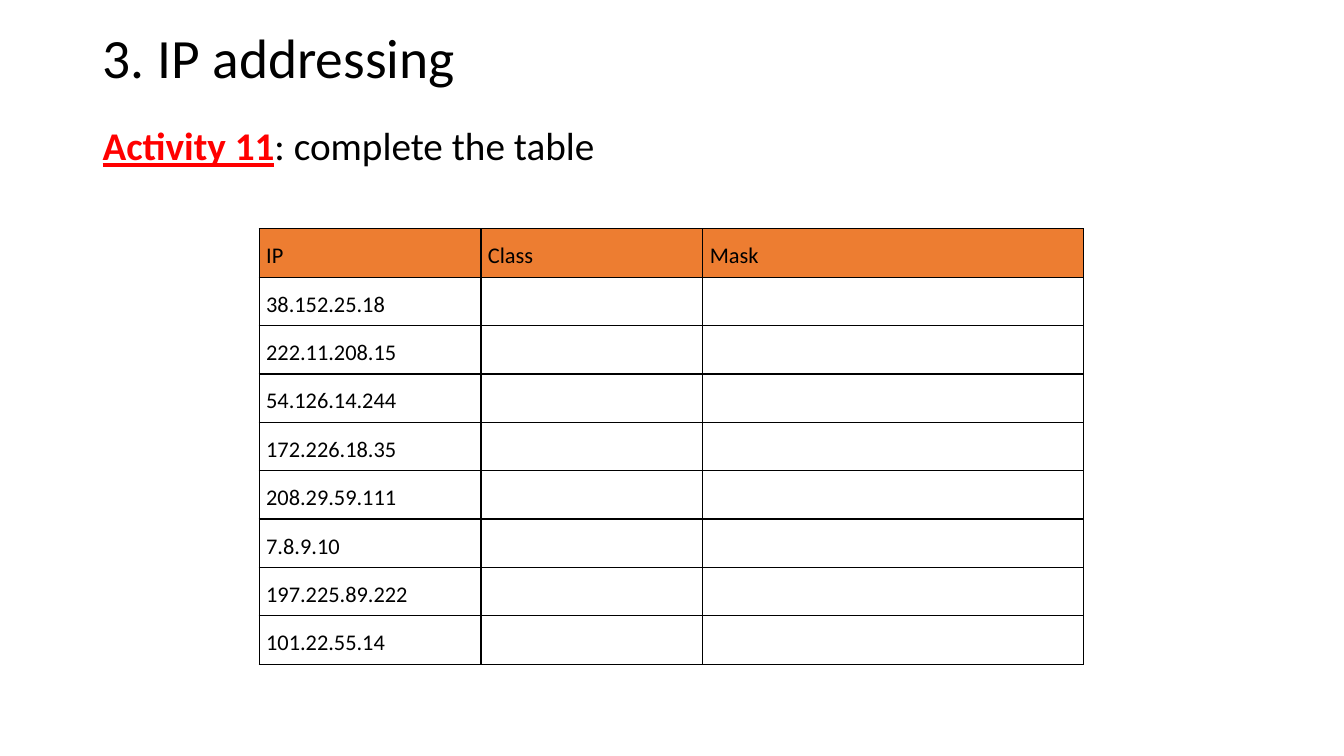
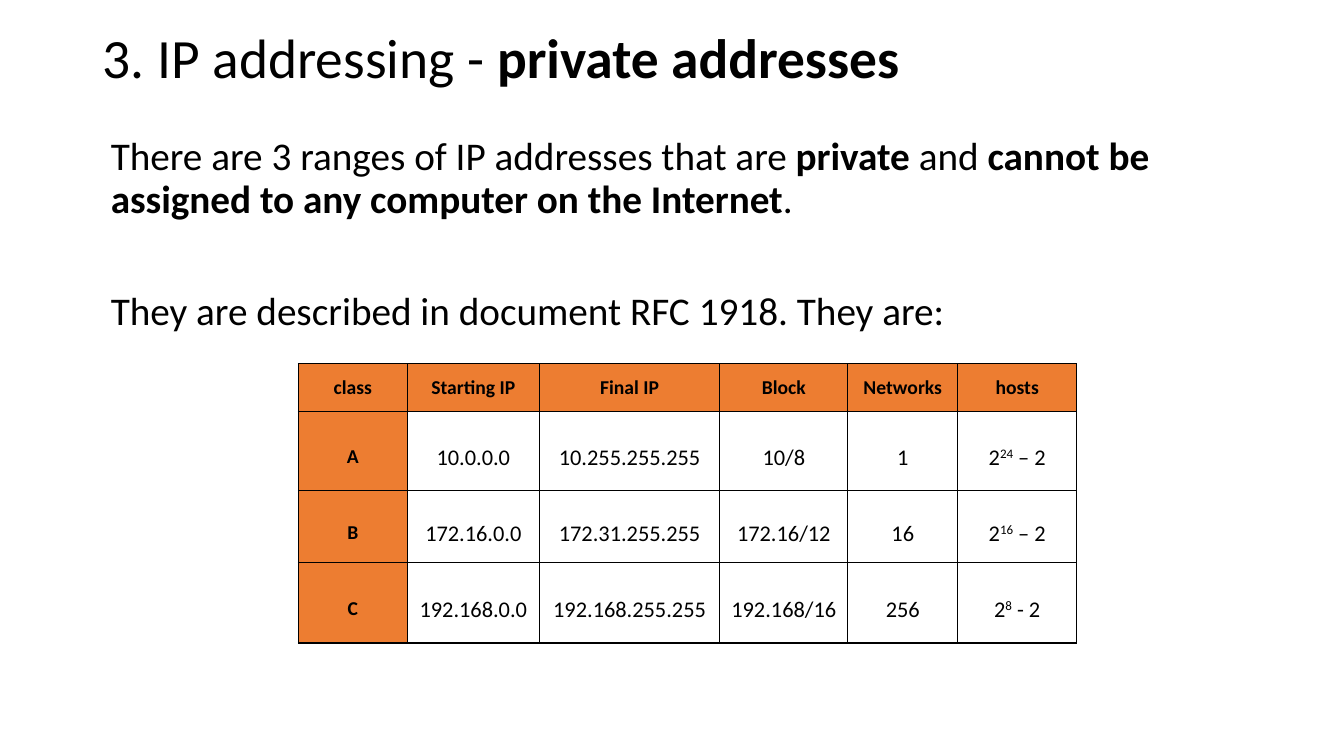
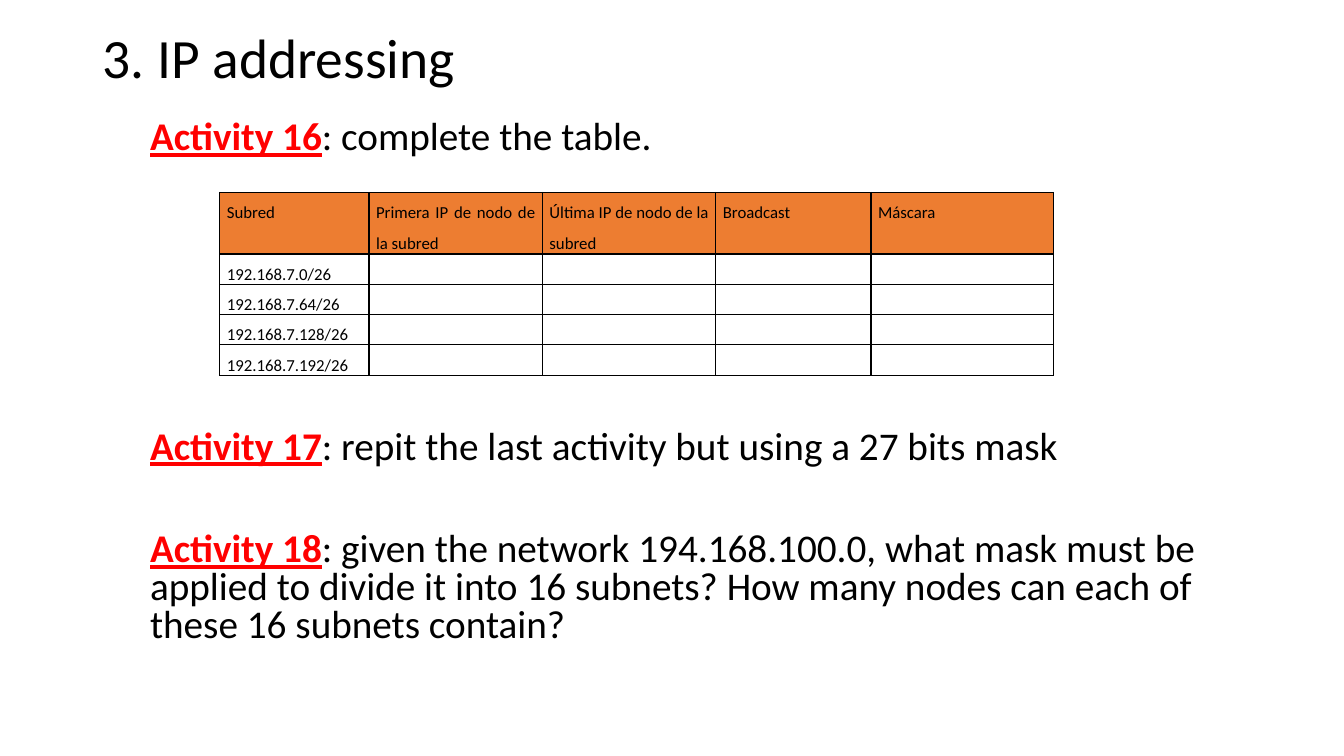
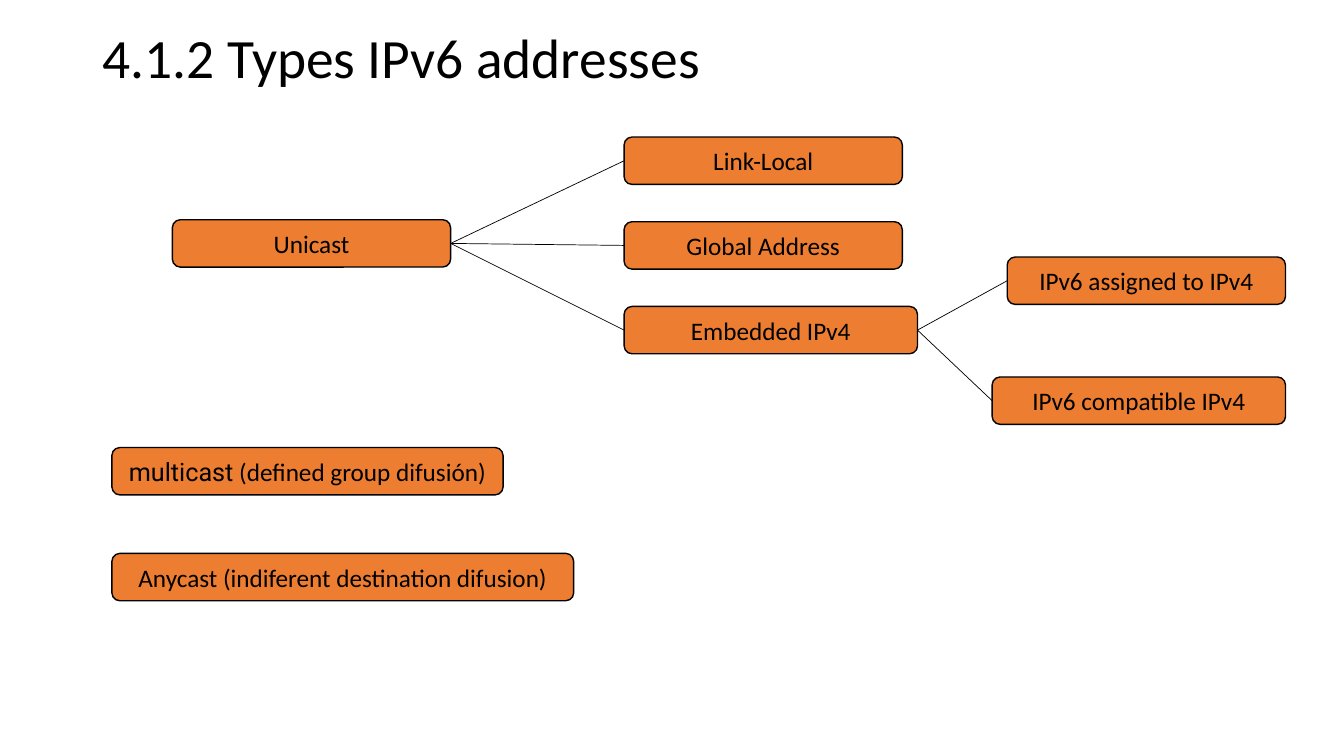
from lxml.etree import SubElement
from pptx import Presentation
from pptx.dml.color import RGBColor
from pptx.enum.shapes import MSO_CONNECTOR, MSO_SHAPE
from pptx.enum.text import MSO_ANCHOR, MSO_AUTO_SIZE, PP_ALIGN
from pptx.oxml import parse_xml
from pptx.oxml.ns import nsdecls, qn
from pptx.util import Inches, Pt

ORANGE, RED, BLACK = "ED7D31", "FF0000", "000000"
BOLD = {"bold": True}
ACTIVITY = {"bold": True, "underline": True, "color": RED}
SUPERSCRIPT = {"baseline": 30}
TITLE_LEFT, TITLE_TOP, TITLE_WIDTH, TITLE_HEIGHT = 0.92, 0.28, 11.5, 0.65


def write_text(paragraph, runs, align=PP_ALIGN.LEFT, line_spacing=1.0, space_before=0, **style):
    """Fill a paragraph with runs: plain strings, or (string, overrides) pairs."""
    paragraph.alignment = align
    paragraph.line_spacing = line_spacing
    paragraph.space_before = Pt(space_before)
    for item in [runs] if isinstance(runs, str) else runs:
        text, overrides = (item, {}) if isinstance(item, str) else item
        look = {**style, **overrides}
        run = paragraph.add_run()
        run.text = text
        run.font.size = Pt(look.get("size", 28))
        run.font.name = look.get("font", "Calibri")
        run.font.bold = look.get("bold", False)
        run.font.underline = look.get("underline", False)
        run.font.color.rgb = RGBColor.from_string(look.get("color", BLACK))
        if "baseline" in look:
            run._r.get_or_add_rPr().set("baseline", str(look["baseline"] * 1000))


def add_grid(slide, left, top, column_widths, row_heights, rows, cell_style):
    """Add a bordered table; cell_style(row, column) gives its fill, anchor and text format."""
    table = slide.shapes.add_table(
        len(row_heights), len(column_widths), Inches(left), Inches(top),
        Inches(sum(column_widths)), Inches(sum(row_heights))).table
    table.first_row = table.horz_banding = False
    for column, width in zip(table.columns, column_widths):
        column.width = Inches(width)
    for row_index, height in enumerate(row_heights):
        table.rows[row_index].height = Inches(height)
        for column_index in range(len(column_widths)):
            cell = table.cell(row_index, column_index)
            fill, anchor, text_format = cell_style(row_index, column_index)
            cell.margin_left = cell.margin_right = Inches(0.07)
            cell.margin_top = cell.margin_bottom = 0
            cell.vertical_anchor = anchor
            for position, edge in enumerate(("lnL", "lnR", "lnT", "lnB")):
                border = parse_xml(
                    f'<a:{edge} {nsdecls("a")} w="12700"><a:solidFill>'
                    f'<a:srgbClr val="{BLACK}"/></a:solidFill></a:{edge}>')
                cell._tc.get_or_add_tcPr().insert(position, border)
            if fill:
                cell.fill.solid()
                cell.fill.fore_color.rgb = RGBColor.from_string(fill)
            else:
                cell.fill.background()
            if column_index < len(rows[row_index]):
                write_text(cell.text_frame.paragraphs[0], rows[row_index][column_index],
                           line_spacing=1.5, **text_format)


presentation = Presentation()
presentation.slide_width = Inches(13.33)
presentation.slide_height = Inches(7.5)

# Titles and body text
slide_contents = [
    (["3. IP addressing"], (0.92, 1.21, 11.5, 5.36), 0.9, [
        (10, [("Activity 11", ACTIVITY), ": complete the table"]),
    ]),
    (["3. IP addressing - ", ("private addresses", BOLD)], (1, 1.31, 11.42, 5.23), 0.9, [
        (10, ["There are 3 ranges of IP addresses that are ", ("private", BOLD), " and ",
              ("cannot be assigned to any computer on the Internet", BOLD), "."]),
        (50, ["They are described in document RFC 1918. They are:"]),
    ]),
    (["3. IP addressing"], (1.39, 1.15, 10.79, 5.67), 0.8, [
        (10, [("Activity 16", ACTIVITY), ": complete the table."]),
        (194, [("Activity 17", ACTIVITY), ": repit the last activity but using a 27 bits mask"]),
        (46.5, [("Activity 18", ACTIVITY),
                ": given the network 194.168.100.0, what mask must be applied to divide it into "
                "16 subnets? How many nodes can each of these 16 subnets contain?"]),
    ]),
    (["4.1.2 Types IPv6 addresses"], None, None, []),
]
slides = []
for title_runs, body_box, line_spacing, body in slide_contents:
    slide = presentation.slides.add_slide(presentation.slide_layouts[5])
    slides.append(slide)
    title = slide.shapes.title
    title.left, title.top = Inches(TITLE_LEFT), Inches(TITLE_TOP)
    title.width, title.height = Inches(TITLE_WIDTH), Inches(TITLE_HEIGHT)
    title.text_frame.auto_size = MSO_AUTO_SIZE.NONE
    title.text_frame.vertical_anchor = MSO_ANCHOR.MIDDLE
    write_text(title.text_frame.paragraphs[0], title_runs, size=39.6, line_spacing=0.9)
    if body:
        frame = slide.shapes.add_textbox(*map(Inches, body_box)).text_frame
        frame.word_wrap = True
        for index, (space_before, runs) in enumerate(body):
            paragraph = frame.add_paragraph() if index else frame.paragraphs[0]
            write_text(paragraph, runs, line_spacing=line_spacing, space_before=space_before)

activity_slide, private_slide, subnet_slide, types_slide = slides


# Exercise tables: only the header row is filled
def exercise_style(size):
    return lambda row, column: (None if row else ORANGE, MSO_ANCHOR.TOP,
                                {"align": PP_ALIGN.JUSTIFY, "size": size})


addresses = ["38.152.25.18", "222.11.208.15", "54.126.14.244", "172.226.18.35",
             "208.29.59.111", "7.8.9.10", "197.225.89.222", "101.22.55.14"]
add_grid(activity_slide, 2.57, 2.27, [2.2, 2.2, 3.78], [0.48] * 9,
         [["IP", "Class", "Mask"]] + [[address] for address in addresses], exercise_style(16))

subnets = [f"192.168.7.{start}/26" for start in range(0, 256, 64)]
add_grid(subnet_slide, 2.18, 1.91, [1.48, 1.72, 1.72, 1.54, 1.81], [0.61] + [0.3] * 4,
         [["Subred", "Primera IP de nodo de la subred", "Última IP de nodo de la subred",
           "Broadcast", "Máscara"]] + [[subnet] for subnet in subnets], exercise_style(12))

# Private ranges: header row and class column are filled
private_ranges = [
    ["class", "Starting IP", "Final IP", "Block", "Networks", "hosts"],
    ["A", "10.0.0.0", "10.255.255.255", "10/8", "1", ["2", ("24", SUPERSCRIPT), " – 2"]],
    ["B", "172.16.0.0", "172.31.255.255", "172.16/12", "16", ["2", ("16", SUPERSCRIPT), " – 2"]],
    ["C", "192.168.0.0", "192.168.255.255", "192.168/16", "256",
     ["2", ("8", SUPERSCRIPT), " - 2"]],
]
heading_format = {"align": PP_ALIGN.CENTER, "size": 14, "bold": True, "space_before": 5.8}
value_format = {"align": PP_ALIGN.CENTER, "size": 16, "space_before": 4.3}
add_grid(private_slide, 2.96, 3.61, [1.08, 1.31, 1.79, 1.27, 1.09, 1.18],
         [0.47, 0.79, 0.71, 0.8], private_ranges,
         lambda row, column: (None if row and column else ORANGE,
                              MSO_ANCHOR.MIDDLE if row else MSO_ANCHOR.TOP,
                              value_format if row and column else heading_format))

# Address type tree
BOX_HEIGHT, BOX_WIDTH, WIDE_BOX = 0.47, 2.76, 2.91
ROOT_LEFT, BRANCH_LEFT, LEAF_RIGHT = 1.11, 6.19, 12.75
BRANCH_TOP, BRANCH_STEP = 1.36, 0.84
address_types = {
    "unicast": (1.71, 2.18, BOX_WIDTH, "Unicast"),
    "multicast": (ROOT_LEFT, 4.44, 3.88,
                  [("multicast", {"font": "Roboto"}), " (defined group difusión)"]),
    "anycast": (ROOT_LEFT, 5.49, 4.58, "Anycast (indiferent destination difusion)"),
    "link-local": (BRANCH_LEFT, BRANCH_TOP, BOX_WIDTH, "Link-Local"),
    "global": (BRANCH_LEFT, BRANCH_TOP + BRANCH_STEP, BOX_WIDTH, "Global Address"),
    "embedded": (BRANCH_LEFT, BRANCH_TOP + 2 * BRANCH_STEP, WIDE_BOX, "Embedded IPv4"),
    "compatible": (LEAF_RIGHT - WIDE_BOX, 3.74, WIDE_BOX, "IPv6 compatible IPv4"),
    "assigned": (LEAF_RIGHT - BOX_WIDTH, 2.55, BOX_WIDTH, "IPv6 assigned to IPv4"),
}
boxes = {}
for name, (left, top, width, runs) in address_types.items():
    shape = types_slide.shapes.add_shape(
        MSO_SHAPE.ROUNDED_RECTANGLE, Inches(left), Inches(top), Inches(width), Inches(BOX_HEIGHT))
    shape.shadow.inherit = False
    shape.fill.solid()
    shape.fill.fore_color.rgb = RGBColor.from_string(ORANGE)
    shape.line.color.rgb = RGBColor.from_string(BLACK)
    shape.line.width = Pt(1)
    shape.text_frame.vertical_anchor = MSO_ANCHOR.MIDDLE
    write_text(shape.text_frame.paragraphs[0], runs, size=18, align=PP_ALIGN.CENTER)
    boxes[name] = shape

children = {"unicast": ["link-local", "global", "embedded"],
            "embedded": ["assigned", "compatible"]}
for parent, names in children.items():
    for name in names:
        connector = types_slide.shapes.add_connector(MSO_CONNECTOR.STRAIGHT, 0, 0, 0, 0)
        connector.begin_connect(boxes[parent], 3)
        connector.end_connect(boxes[name], 1)
        connector.line.color.rgb = RGBColor.from_string(BLACK)
        connector.line.width = Pt(0.5)
        SubElement(connector._element.spPr, qn("a:effectLst"))

presentation.save("out.pptx")
